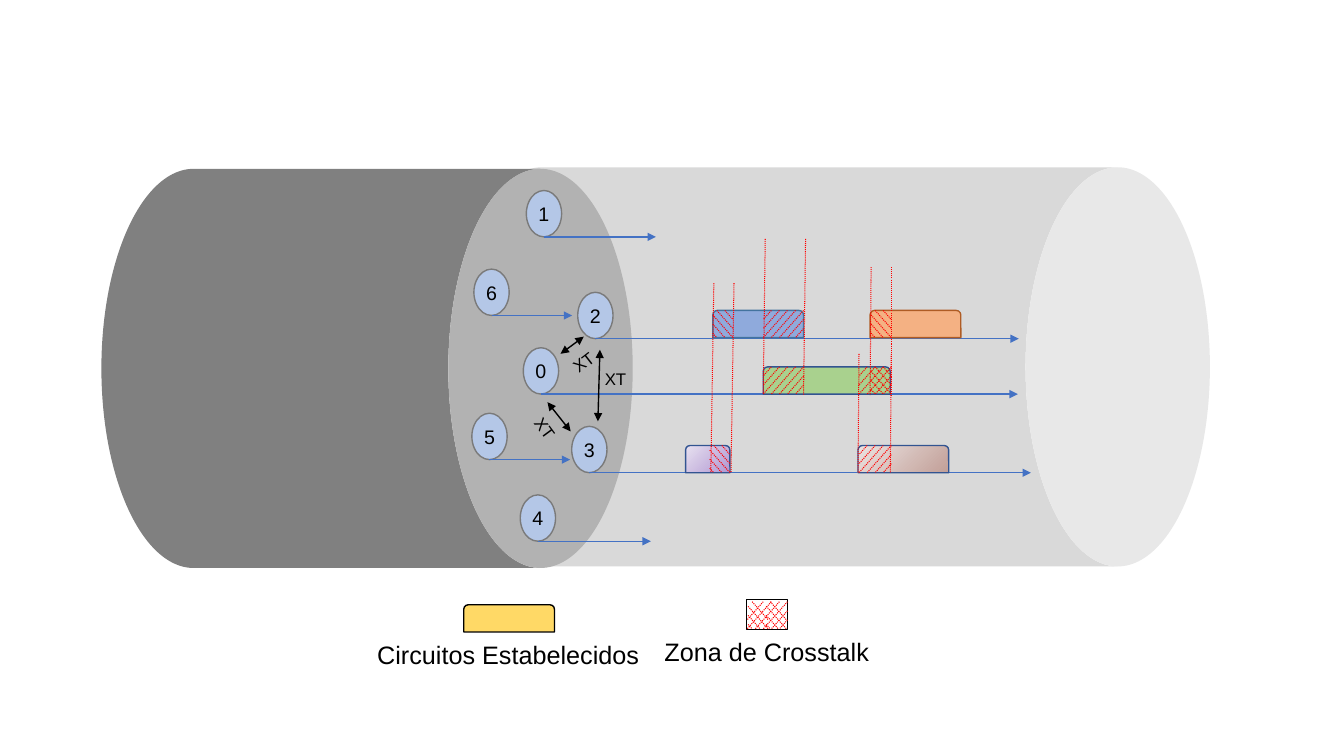
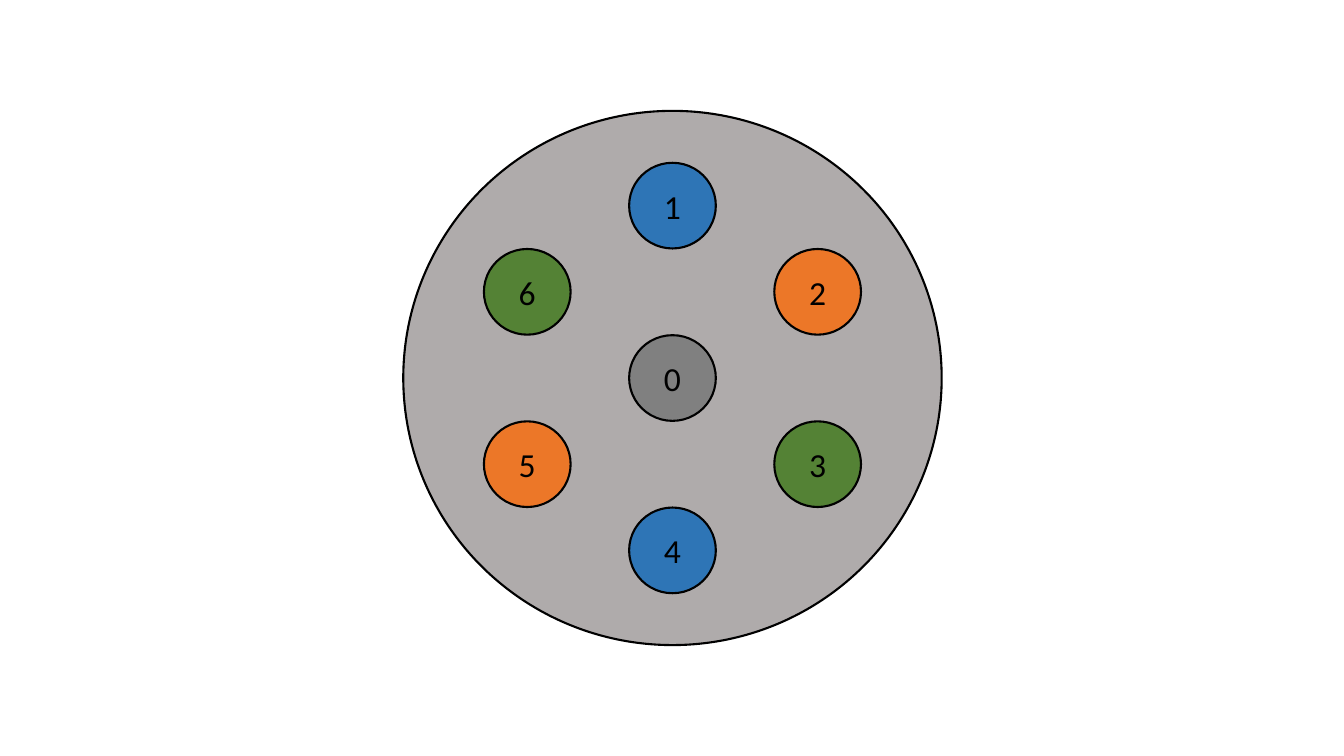
"""Build two slides on crosstalk between the cores of a multicore fibre."""
from math import ceil

from lxml.etree import SubElement
from pptx import Presentation
from pptx.dml.color import RGBColor
from pptx.enum.dml import MSO_LINE
from pptx.enum.shapes import MSO_CONNECTOR, MSO_SHAPE
from pptx.enum.text import MSO_ANCHOR, PP_ALIGN
from pptx.oxml.ns import qn
from pptx.util import Inches, Pt

HUE = {
    "black": "000000", "white": "FFFFFF", "red": "FF0000", "arrow": "4472C4",
    "glass": "D9D9D9", "coat": "808080", "core": "B4C7E7", "rim": "7A7A7A",
    "green": "A9D18E", "navy": "325491", "blue": "8FAADC", "steel": "43739E",
    "peach": "F4B183", "rust": "AF5C24", "gold": "FFD966",
    "plum": "B197D2", "lilac": "E7E1F0", "clay": "C29F98", "sand": "EBE3E1",
    "disc": "AFABAB", "leaf": "548235", "flame": "EC7728", "sea": "2E75B6",
}
CANS = [((6.25, -0.13, 3.96, 7.54), "glass"), ((1.66, 1.02, 3.96, 5.27), "coat")]
CORE = (0.35, 0.46)
CORES = [
    ("0", 5.19, 3.45, 4.73), ("1", 5.22, 1.89, 1.11), ("2", 5.73, 2.9, 4.2),
    ("3", 5.67, 4.23, 4.38), ("4", 5.16, 4.91, 1.12), ("5", 4.68, 4.1, 0.8),
    ("6", 4.7, 2.67, 0.8),
]
ROWS = {"top": 3.08, "mid": 3.64, "low": 4.42}
TALL = 0.27
BARS = [
    (7.57, "mid", 1.26, "green", "navy"),
    (7.07, "top", 0.9, "blue", "steel"),
    (6.8, "low", 0.44, ("plum", "lilac"), "navy"),
    (8.51, "low", 0.9, ("clay", "sand"), "navy"),
    (8.63, "top", 0.9, "peach", "rust"),
]
GUIDES = [
    (7.59, 2.37, 7.57, 3.91), (7.99, 2.37, 7.97, 3.92),
    (8.84, 3.51, 8.83, 4.69), (8.64, 2.65, 8.63, 3.92),
    (8.52, 3.51, 8.51, 4.69), (8.84, 2.65, 8.84, 3.92),
    (7.08, 2.81, 7.05, 4.69), (7.28, 2.81, 7.25, 4.69),
]
RISING = [(7.57, "mid", 0.4), (7.57, "top", 0.4), (8.52, "low", 0.32), (8.52, "mid", 0.32)]
FALLING = [(8.64, "mid", 0.2), (8.64, "top", 0.2), (7.07, "top", 0.2), (7.04, "low", 0.2)]
GAP, RUN = 0.08, 0.24
LINKS = [(5.56, 3.51, 5.79, 3.34), (5.43, 3.99, 5.66, 4.28), (5.93, 4.18, 5.95, 3.47)]
MARKS = [(5.58, 3.44, 322.2), (5.9, 3.61, 0), (5.2, 4.1, 53.6)]
KEYS = [
    ("Zona de Crosstalk", (6.48, 6.26, 2.25, 0.4)),
    ("Circuitos Estabelecidos", (3.63, 6.29, 2.82, 0.4)),
]
MID, STEP = (6.67, 3.75), (1.44, 0.855)
DISC, DOT = (5.34, 5.3), (0.86, 0.85)
RING = [
    ("0", 0, 0, "coat"), ("1", 0, -2, "sea"), ("2", 1, -1, "flame"),
    ("3", 1, 1, "leaf"), ("4", 0, 2, "sea"), ("5", -1, 1, "flame"),
    ("6", -1, -1, "leaf"),
]


def tint(name):
    return RGBColor.from_string(HUE[name])


def write(shape, text, size=14, font="Arial", align=PP_ALIGN.CENTER,
          anchor=MSO_ANCHOR.MIDDLE):
    frame = shape.text_frame
    frame.word_wrap = False
    frame.vertical_anchor = anchor
    para = frame.paragraphs[0]
    para.alignment = align
    run = para.add_run()
    run.text = text
    run.font.size, run.font.name = Pt(size), font
    run.font.color.rgb = tint("black")


def label(slide, text, box, turn=0, **style):
    shape = slide.shapes.add_textbox(*map(Inches, box))
    shape.rotation = turn
    write(shape, text, **style)


def block(slide, kind, box, fill, edge=None, width=1):
    shape = slide.shapes.add_shape(kind, *map(Inches, box))
    shape.shadow.inherit = False
    if isinstance(fill, tuple):
        shape.fill.gradient()
        shape.fill.gradient_angle = 135
        for stop, name in zip(shape.fill.gradient_stops, fill):
            stop.color.rgb = tint(name)
    else:
        shape.fill.solid()
        shape.fill.fore_color.rgb = tint(fill)
    if edge:
        shape.line.color.rgb = tint(edge)
        shape.line.width = Pt(width)
    else:
        shape.line.fill.background()
    return shape


def line(slide, ends, hue="red", width=0.75, dash=None, tips=()):
    wire = slide.shapes.add_connector(MSO_CONNECTOR.STRAIGHT, *map(Inches, ends))
    wire.line.color.rgb = tint(hue)
    wire.line.width = Pt(width)
    if dash:
        wire.line.dash_style = dash
    for tip in tips:
        SubElement(wire.line._get_or_add_ln(), qn(f"a:{tip}"), type="triangle")
    SubElement(wire._element.spPr, qn("a:effectLst"))


def hatch(slide, left, top, wide, fall=False, first=1):
    for num in range(first, ceil((wide + RUN) / GAP - 0.01)):
        reach = num * GAP
        ends = []
        for part in (max(0, (reach - wide) / RUN), min(1, reach / RUN)):
            x = reach - part * RUN
            ends += [left + (wide - x if fall else x), top + part * TALL]
        line(slide, ends, dash=MSO_LINE.ROUND_DOT)


def fibre(slide):
    for box, fill in CANS:
        can = block(slide, MSO_SHAPE.CAN, box, fill)
        can.adjustments[0] = 0.462
        can.rotation = 90
    for text, x, y, _ in CORES:
        write(block(slide, MSO_SHAPE.OVAL, (x, y, *CORE), "core", "rim"), text)
    for _, x, y, size in CORES:
        x, y = x + CORE[0] / 2, y + CORE[1]
        line(slide, (x, y, x + size, y), "arrow", 1, tips=["tailEnd"])
    for x, row, wide, fill, edge in BARS:
        block(slide, MSO_SHAPE.ROUND_2_SAME_RECTANGLE, (x, ROWS[row], wide, TALL), fill, edge)
    for ends in GUIDES:
        line(slide, ends, dash=MSO_LINE.ROUND_DOT)
    for zones, fall in ((RISING, False), (FALLING, True)):
        for x, row, wide in zones:
            hatch(slide, x, ROWS[row], wide, fall)
    for ends in LINKS:
        line(slide, ends, "black", 1, tips=["headEnd", "tailEnd"])
    for x, y, turn in MARKS:
        label(slide, "XT", (x, y, 0.42, 0.3), turn, size=12,
              align=PP_ALIGN.LEFT, anchor=MSO_ANCHOR.TOP)


def legend(slide):
    block(slide, MSO_SHAPE.ROUND_2_SAME_RECTANGLE, (4.6, 6, 0.9, TALL), "gold", "black")
    block(slide, MSO_SHAPE.RECTANGLE, (7.4, 5.95, 0.41, 0.3), "white", "black", 0.75)
    for x, wide, fall in ((7.41, 0.4, False), (7.42, 0.2, True), (7.6, 0.2, True)):
        hatch(slide, x, 5.97, wide, fall, first=2)
    for text, box in KEYS:
        label(slide, text, box, size=18)


def disc(slide, size, fill, col=0, row=0):
    x, y = MID[0] + col * STEP[0], MID[1] + row * STEP[1]
    box = (x - size[0] / 2, y - size[1] / 2, *size)
    return block(slide, MSO_SHAPE.OVAL, box, fill, "black", 1.5)


def section(slide):
    disc(slide, DISC, "disc")
    for text, col, row, fill in RING:
        write(disc(slide, DOT, fill, col, row), text, size=24, font="Calibri")


def main():
    deck = Presentation()
    deck.slide_width, deck.slide_height = Inches(13.33), Inches(7.5)
    for parts in ((fibre, legend), (section,)):
        slide = deck.slides.add_slide(deck.slide_layouts[6])
        for draw in parts:
            draw(slide)
    deck.save("out.pptx")


if __name__ == "__main__":
    main()
